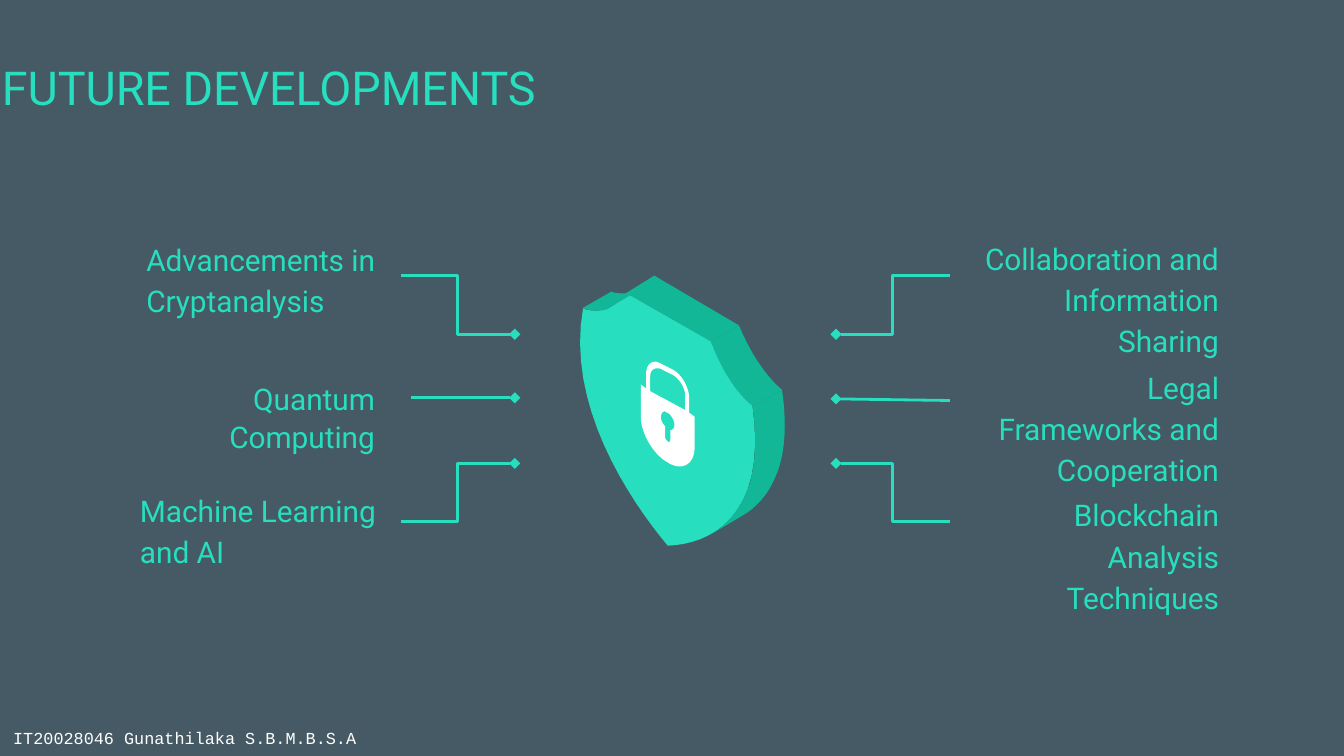
import pptx
import pptx.dml.color
import pptx.enum.shapes
import pptx.enum.text
import pptx.oxml
import pptx.oxml.ns
import pptx.util

Cm = pptx.util.Cm
Pt = pptx.util.Pt
ALIGN = pptx.enum.text.PP_ALIGN
LINK = pptx.enum.shapes.MSO_CONNECTOR
INK = {"back": "455A64", "mint": "27DEBF", "dark": "11B797", "white": "FFFFFF"}

BODY = {"name": "Roboto", "size": Pt(16), "bold": False}
HEAD = {"name": "Roboto", "size": Pt(25), "bold": False}
FOOT = {"name": "Courier New", "size": Pt(9), "bold": False}

# Shield outlines on a grid 163 wide: pairs are corners, sixes are curves
GRID = 163
SHIELD = [
    ("dark", [[(66, 0), (45, 13), (108, 49), (129, 37)]]),
    ("dark", [[(129, 37), (108, 49), (121, 84, 138, 96, 139, 97), (161, 85),
               (160, 84, 143, 71, 129, 37)]]),
    ("mint", [[(45, 13), (37, 24, 28, 26, 22, 26), (17, 26, 13, 25, 13, 24),
               (0, 95, 46, 165, 76, 201), (105, 200, 151, 182, 139, 97),
               (138, 96, 121, 84, 108, 49)]]),
    ("dark", [[(56, 10), (50, 14, 40, 14, 34, 12), (13, 24),
               (16, 26, 29, 28, 34, 23)]]),
    ("dark", [[(161, 85), (139, 97), (142, 117, 142, 137, 137, 155),
               (131, 172, 122, 184, 109, 192), (131, 179),
               (145, 171, 154, 158, 159, 142), (164, 126, 164, 105, 161, 85)]]),
    # Padlock: body, shackle gap, keyhole
    ("white", [
        [(67, 64), (63, 64, 60, 67, 60, 73), (60, 84), (56, 81), (56, 105),
         (56, 117, 65, 133, 76, 139), (79, 141, 82, 142, 85, 142),
         (91, 142, 96, 137, 96, 128), (96, 105), (92, 102), (92, 91),
         (92, 84, 87, 74, 80, 70), (72, 66), (70, 65, 68, 64, 67, 64)],
        [(68, 69), (69, 69, 71, 69, 72, 70), (80, 74),
         (85, 77, 89, 84, 89, 89), (89, 100), (63, 86), (63, 75),
         (63, 71, 65, 69, 68, 69)],
        [(74, 101), (74, 101, 75, 102, 76, 102), (79, 104, 81, 108, 81, 111),
         (81, 113, 80, 115, 78, 115), (78, 122), (78, 123, 77, 124, 77, 124),
         (76, 124, 76, 123, 76, 123), (75, 123, 74, 121, 74, 120), (74, 112),
         (72, 110, 71, 108, 71, 105), (71, 103, 72, 101, 74, 101)]]),
]


def tint(name):
    return pptx.dml.color.RGBColor.from_string(INK[name])


def tag(node, name, **attrs):
    part = pptx.oxml.parse_xml(f"<a:{name} {pptx.oxml.ns.nsdecls('a')}/>")
    for key, value in attrs.items():
        part.set(key, value)
    node.append(part)


def write(shape, box, text, font, align=ALIGN.LEFT, space=None, ink="mint"):
    """Place a text shape in its box and format its one paragraph."""
    for key, value in zip(("left", "top", "width", "height"), box):
        setattr(shape, key, Cm(value))
    frame = shape.text_frame
    look = {"word_wrap": True, "auto_size": pptx.enum.text.MSO_AUTO_SIZE.NONE,
            "vertical_anchor": pptx.enum.text.MSO_ANCHOR.TOP}
    for key, value in look.items():
        setattr(frame, key, value)
    para = frame.paragraphs[0]
    props = para._p.get_or_add_pPr()
    props.set("marL", "0")
    props.set("indent", "0")
    tag(props, "buNone")
    form = {"text": text, "alignment": align, "space_before": Pt(0)}
    if space:
        form.update(line_spacing=space, space_after=Pt(12))
    for key, value in form.items():
        setattr(para, key, value)
    run = para.runs[0].font
    for key, value in font.items():
        setattr(run, key, value)
    run.color.rgb = tint(ink)


def trace(outline, unit):
    """Turn corners and curves into points."""
    points = [outline[0]]
    for step in outline[1:]:
        if len(step) == 2:
            points.append(step)
            continue
        knots = [points[-1], step[:2], step[2:4], step[4:]]
        for i in range(1, 17):
            t = i / 16
            mix = ((1 - t) ** 3, 3 * t * (1 - t) ** 2, 3 * t * t * (1 - t), t ** 3)
            points.append(tuple(sum(m * k[axis] for m, k in zip(mix, knots))
                                for axis in (0, 1)))
    return [(x * unit, y * unit) for x, y in points]


def shield(slide, box):
    left, top, width = (Cm(value) for value in box)
    group = slide.shapes.add_group_shape()
    for ink, outlines in SHIELD:
        first, *rest = [trace(line, width / GRID) for line in outlines]
        pen = group.shapes.build_freeform(*first[0])
        pen.add_line_segments(first[1:])
        for hole in rest:
            pen.move_to(*hole[0])
            pen.add_line_segments(hole[1:])
        shape = pen.convert_to_shape(left, top)
        shape.shadow.inherit = False
        shape.fill.solid()
        shape.fill.fore_color.rgb = tint(ink)
        shape.line.fill.background()


def links(slide, box, rows):
    """Draw lines from the diamond edge of a box to its label edge."""
    left, top, width = box
    for kind, start, end, trim in rows:
        line = slide.shapes.add_connector(
            kind, Cm(left), Cm(top + start), Cm(left + width - trim), Cm(top + end))
        line.line.color.rgb = tint("mint")
        line.line.width = Pt(1.5)
        tag(line.line._get_or_add_ln(), "headEnd", type="diamond")
        tag(line._element.spPr, "effectLst")


def labels(slide, holders, rows):
    """Fill placeholders first, then text boxes."""
    for holder, (box, text, align, space) in zip(holders, rows):
        shape = holder or slide.shapes.add_textbox(0, 0, 0, 0)
        write(shape, box, text, BODY, align, space)


def main():
    deck = pptx.Presentation()
    deck.slide_width, deck.slide_height = Cm(25.4), Cm(14.29)
    slide = deck.slides.add_slide(deck.slide_layouts[4])
    slide.background.fill.solid()
    slide.background.fill.fore_color.rgb = tint("back")

    # Title
    write(slide.shapes.title, (-5.64, 0.99, 21.44, 1.47), "FUTURE DEVELOPMENTS",
          HEAD, ALIGN.CENTER)

    # Labels
    first, second, third, spare = list(slide.placeholders)[1:5]
    spare._element.getparent().remove(spare._element)
    labels(slide, (first, second, None), [
        ((2.51, 4.34, 7.14, 3), "Advancements in Cryptanalysis", ALIGN.LEFT, 1.15),
        ((2.39, 9.09, 5.41, 1.96), "Machine Learning and AI", ALIGN.LEFT, 1.15),
        ((2.01, 7.04, 5.33, 1.68), "Quantum Computing", ALIGN.RIGHT, 1.05)])
    labels(slide, (third, None, None), [
        ((18.24, top, 5.05, 1.55), text, ALIGN.RIGHT, 1.15) for top, text in (
            (4.32, "Collaboration and Information Sharing"),
            (6.76, "Legal Frameworks and Cooperation"),
            (9.17, "Blockchain Analysis Techniques"))])

    # Links and shield
    bent = [(LINK.ELBOW, 1.11, 0, 0), (LINK.ELBOW, 3.55, 4.65, 0)]
    links(slide, (9.73, 5.21, -2.15), bent + [(LINK.STRAIGHT, 2.31, 2.31, -0.18)])
    links(slide, (15.8, 5.21, 2.15), bent + [(LINK.STRAIGHT, 2.33, 2.36, 0)])
    shield(slide, (10.69, 5.21, 4.14))

    # Footer
    write(slide.shapes.add_textbox(0, 0, 0, 0), (0, 13.64, 15.09, 0.64),
          "IT20028046 Gunathilaka S.B.M.B.S.A", FOOT, ink="white")
    deck.save("out.pptx")


if __name__ == "__main__":
    main()
